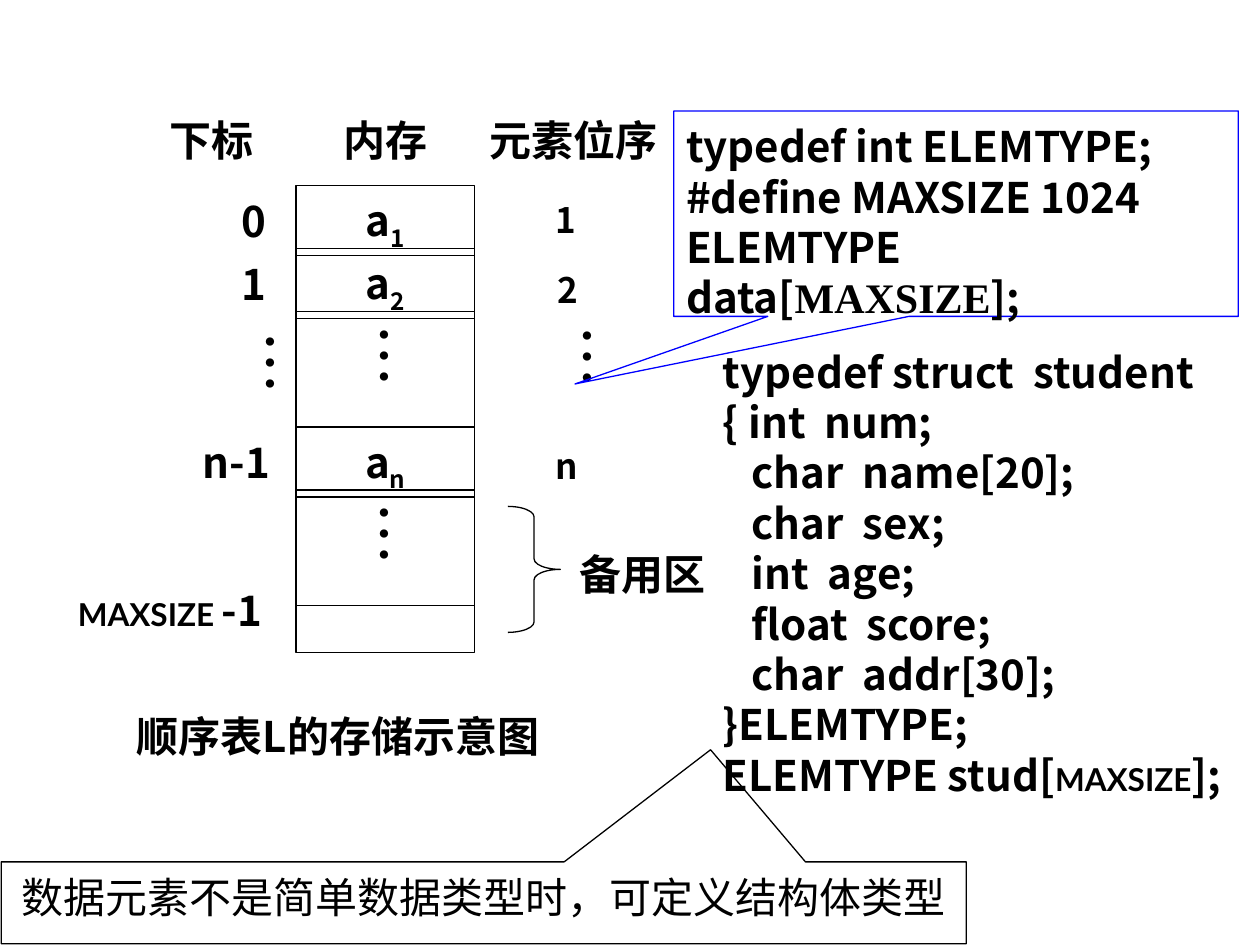
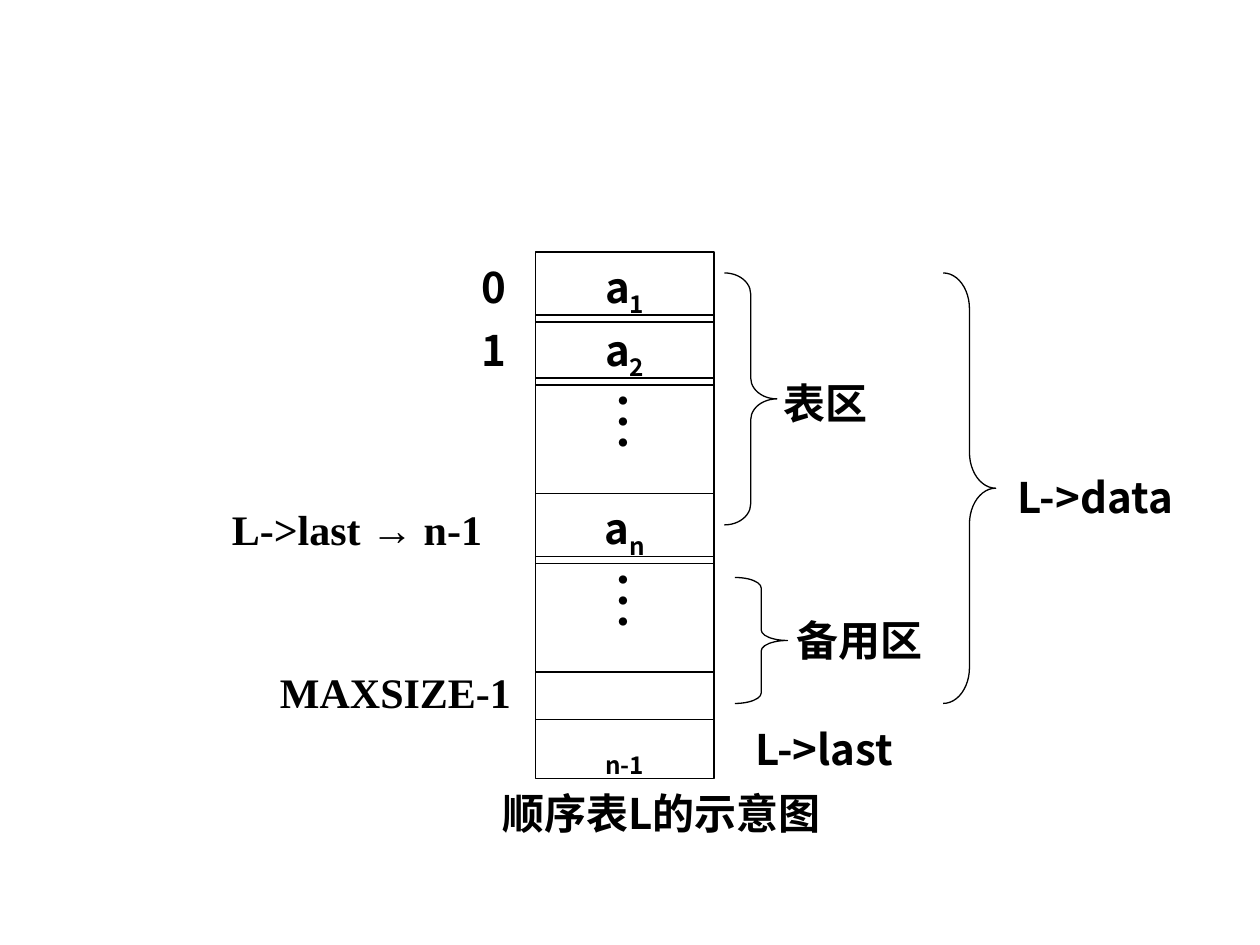
import pptx
import pptx.util
import pptx.dml.color
import pptx.enum.shapes
import pptx.enum.text

Pt = pptx.util.Pt
SHAPES = pptx.enum.shapes.MSO_SHAPE
ALIGN = pptx.enum.text.PP_ALIGN
ANCHOR = pptx.enum.text.MSO_ANCHOR

COLORS = {"ink": "000000", "callout": "0000FF"}
SANS_JP = "Noto Sans CJK JP"
SANS_SC = "Noto Sans CJK SC"
LATO = "Lato"
SERIF = "Times New Roman"

CELL_WIDTH = 102
CELL_HEIGHT = 40
ROW_STEP = 36
GAP_HEIGHT = 66
LABEL_HEIGHT = 36
BRACE_WIDTH = 30
LINE_RATIO = 1.2
SUBSCRIPT_LINE_RATIO = 1.35


def rgb(name):
    return pptx.dml.color.RGBColor.from_string(COLORS[name])


def add_run(paragraph, text, size=24, font=SANS_JP, bold=True, subscript=False):
    run = paragraph.add_run()
    run.text = text
    run.font.size = Pt(size)
    run.font.name = font
    run.font.bold = bold
    run.font.color.rgb = rgb("ink")
    properties = run.font._element
    east_asian = properties.makeelement(
        pptx.oxml.ns.qn("a:ea"), {"typeface": SANS_SC if font in (SERIF, LATO) else font})
    properties.find(pptx.oxml.ns.qn("a:latin")).addnext(east_asian)
    if subscript:
        properties.set("baseline", "-25000")


def write(shape, lines, align=ALIGN.CENTER, side_inset=7.2, ratio=LINE_RATIO):
    frame = shape.text_frame
    frame.word_wrap = True
    frame.vertical_anchor = ANCHOR.TOP
    frame.margin_left = frame.margin_right = Pt(side_inset)
    frame.margin_top, frame.margin_bottom = Pt(5.6), Pt(3.6)
    for index, runs in enumerate(lines):
        paragraph = frame.add_paragraph() if index else frame.paragraphs[0]
        paragraph.alignment = align
        tallest = max(style.get("size", 24) for _, style in runs)
        paragraph.line_spacing = Pt(round(ratio * tallest, 1))
        for text, style in runs:
            add_run(paragraph, text, **style)


def write_vertical_dots(shape):
    frame = shape.text_frame
    frame.word_wrap = True
    frame.vertical_anchor = ANCHOR.MIDDLE
    frame.margin_left = frame.margin_right = Pt(3.6)
    frame.margin_top = frame.margin_bottom = Pt(7.2)
    frame._txBody.bodyPr.set("vert", "eaVert")
    frame.paragraphs[0].alignment = ALIGN.CENTER
    add_run(frame.paragraphs[0], "…", size=36, bold=False)


def add_outline(slide, kind, x, y, width, height, color="ink"):
    shape = slide.shapes.add_shape(kind, Pt(x), Pt(y), Pt(width), Pt(height))
    shape.shadow.inherit = False
    shape.fill.background()
    shape.line.color.rgb = rgb(color)
    shape.line.width = Pt(0.75)
    return shape


def add_text_area(slide, x, y, width, height):
    return slide.shapes.add_textbox(Pt(x), Pt(y), Pt(width), Pt(height))


def add_label(slide, text, x, y, width, **style):
    write(add_text_area(slide, x, y, width, LABEL_HEIGHT), [[(text, style)]])


def add_dots(slide, x, y):
    write_vertical_dots(add_text_area(slide, x, y, BRACE_WIDTH, GAP_HEIGHT))


def add_brace(slide, x, y, height):
    brace = add_outline(slide, SHAPES.RIGHT_BRACE, x, y, BRACE_WIDTH, height)
    brace.adjustments[0] = height / 12 / BRACE_WIDTH
    brace.adjustments[1] = 0.5


def add_callout(slide, lines, x, y, width, height, pointer, color, **layout):
    callout = add_outline(slide, SHAPES.RECTANGULAR_CALLOUT, x, y, width, height, color)
    callout.adjustments[0], callout.adjustments[1] = pointer
    write(callout, lines, **layout)


def add_memory_column(slide, x, y):
    first_gap = 2 * ROW_STEP
    last_element = first_gap + GAP_HEIGHT
    second_gap = last_element + ROW_STEP
    for offset, index in ((0, "1"), (ROW_STEP, "2"), (last_element, "n")):
        cell = add_outline(slide, SHAPES.RECTANGLE, x, y + offset, CELL_WIDTH, CELL_HEIGHT)
        write(cell, [[("a", {}), (index, {"subscript": True})]], ratio=SUBSCRIPT_LINE_RATIO)
    for offset in (first_gap, second_gap):
        write_vertical_dots(
            add_outline(slide, SHAPES.RECTANGLE, x, y + offset, CELL_WIDTH, GAP_HEIGHT))
    add_outline(slide, SHAPES.RECTANGLE, x, y + second_gap + GAP_HEIGHT, CELL_WIDTH, 27)
    for row in range(2):
        add_label(slide, str(row), x - 48, y + row * ROW_STEP, 48)


def build_storage_slide(slide):
    code = {"font": SANS_SC}
    small_lato = {"size": 18, "font": LATO}
    add_memory_column(slide, 169.2, 106)
    for heading, x, width in (("下标", 85, 72), ("内存", 169.2, 102), ("元素位序", 270.9, 114)):
        add_label(slide, heading, x, 60, width)
    add_label(slide, "n-1", 101, 244, 68)
    write(add_text_area(slide, 25.2, 328.5, 144, LABEL_HEIGHT),
          [[("MAXSIZE ", small_lato), ("-1", {})]])
    for order, x, y in (("1", 299.6, 108), ("2", 300.6, 147.6), ("n", 299.6, 248.4)):
        add_label(slide, order, x, y, 48, size=20)
    add_dots(slide, 140.4, 182.2)
    add_dots(slide, 321.2, 178.6)
    add_label(slide, "顺序表L的存储示意图", 25.2, 400.3, 336, font=SANS_SC)
    add_brace(slide, 290.2, 289.4, 72)
    add_label(slide, "备用区", 320.4, 307.6, 93)

    struct_lines = [
        "typedef struct  student",
        "{ int  num;",
        "   char  name[20];",
        "   char  sex;",
        "   int  age;",
        "   float  score;",
        "   char  addr[30];",
        "}ELEMTYPE;",
    ]
    write(add_text_area(slide, 406, 192.2, 314, 324),
          [[(line, code)] for line in struct_lines]
          + [[("ELEMTYPE stud[", code), ("MAXSIZE", small_lato), ("];", code)]],
          align=ALIGN.LEFT)
    add_callout(slide,
                [[("typedef int ELEMTYPE;", code)],
                 [("#define MAXSIZE 1024", code)],
                 [("ELEMTYPE data[", code), ("MAXSIZE", {"font": SERIF}), ("];", code)]],
                385, 63.4, 322.6, 117.4, (-0.675, 0.829), "callout", align=ALIGN.LEFT)
    add_callout(slide,
                [[("数据元素不是简单数据类型时，可定义结构体类型", {"font": SERIF, "bold": False})]],
                0.7, 492.5, 551.5, 46.8, (0.235, -1.869), "ink", side_inset=1.4)


def build_list_slide(slide):
    add_memory_column(slide, 306, 144)
    last_cell = add_outline(slide, SHAPES.RECTANGLE, 306, 411, CELL_WIDTH, 34)
    write(last_cell, [[("n-1", {"subscript": True})]])
    add_label(slide, "L->last → n-1", 102, 282, 204, font=SERIF)
    add_label(slide, "MAXSIZE-1", 146, 375, 160, font=SERIF)
    for x, y, height in ((414, 156, 144), (420, 330, 72), (539, 156, 246)):
        add_brace(slide, x, y, height)
    add_label(slide, "表区", 433.4, 210, 77)
    add_label(slide, "备用区", 443, 345.6, 96)
    add_label(slide, "L->data", 569, 264, 114)
    add_label(slide, "L->last", 414, 408, 114)
    add_label(slide, "顺序表L的示意图", 210, 444.2, 336, font=SANS_SC)


def main():
    presentation = pptx.Presentation()
    presentation.slide_width, presentation.slide_height = Pt(720), Pt(540)
    blank = presentation.slide_layouts[6]
    for build in (build_storage_slide, build_list_slide):
        build(presentation.slides.add_slide(blank))
    presentation.save("out.pptx")


if __name__ == "__main__":
    main()
